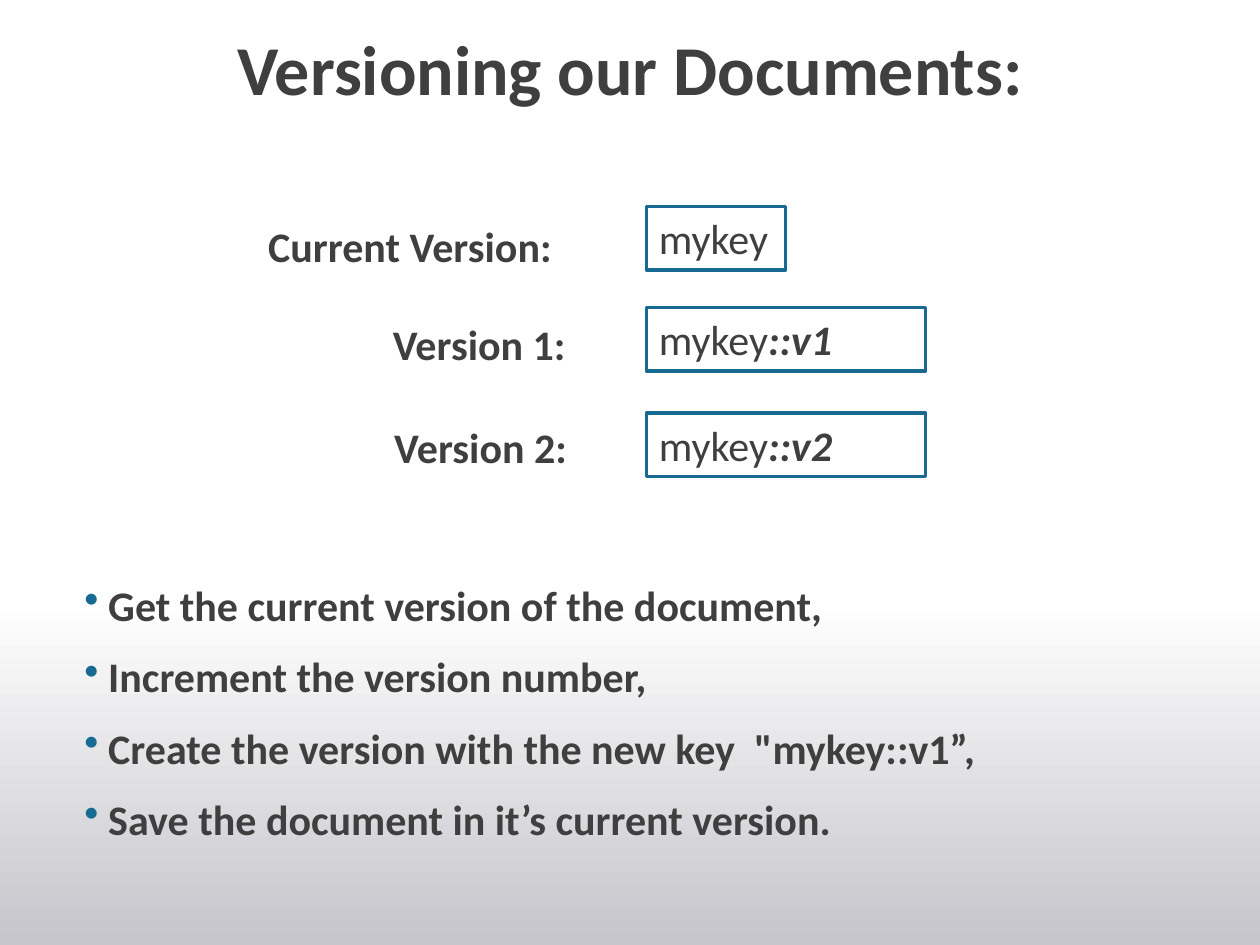
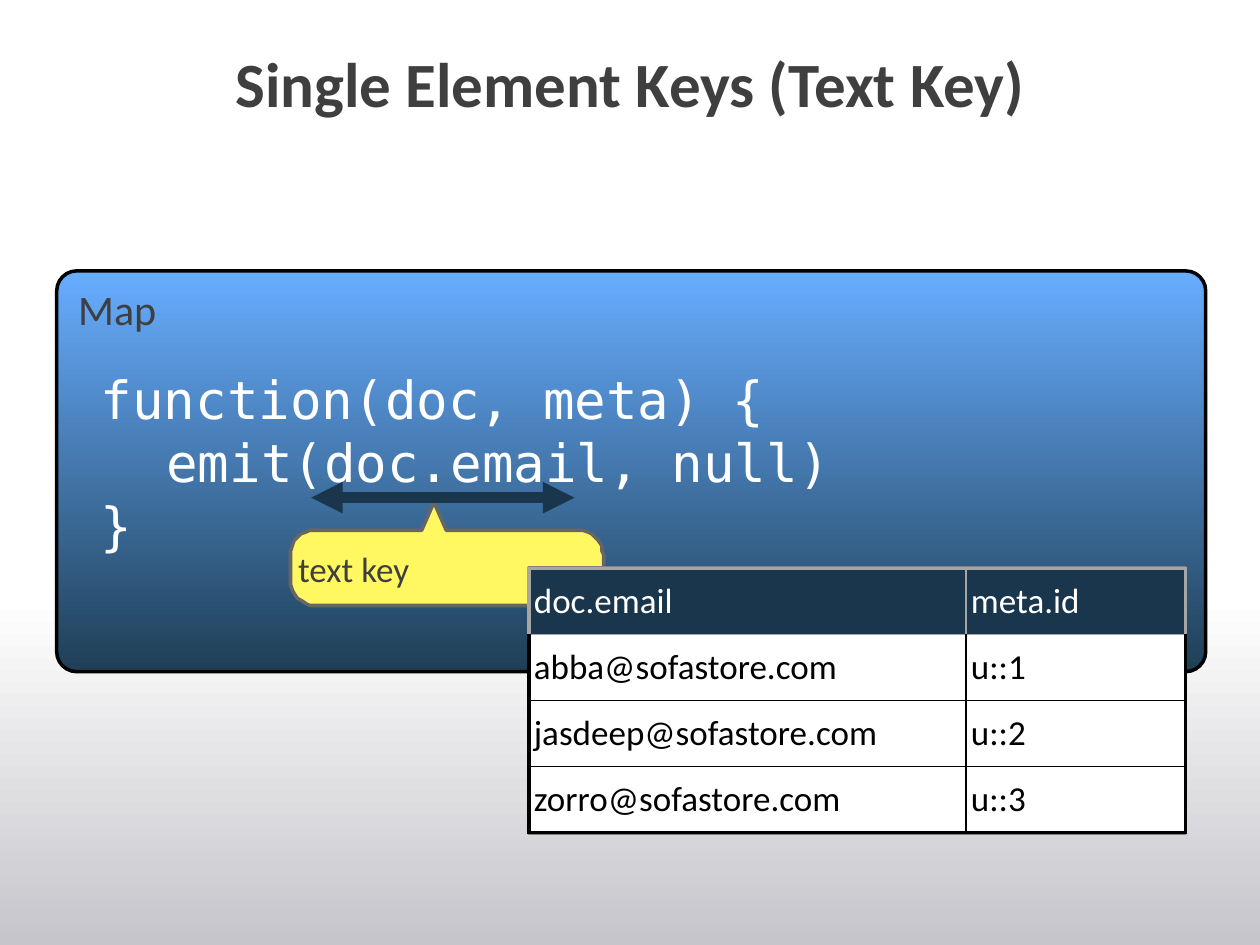
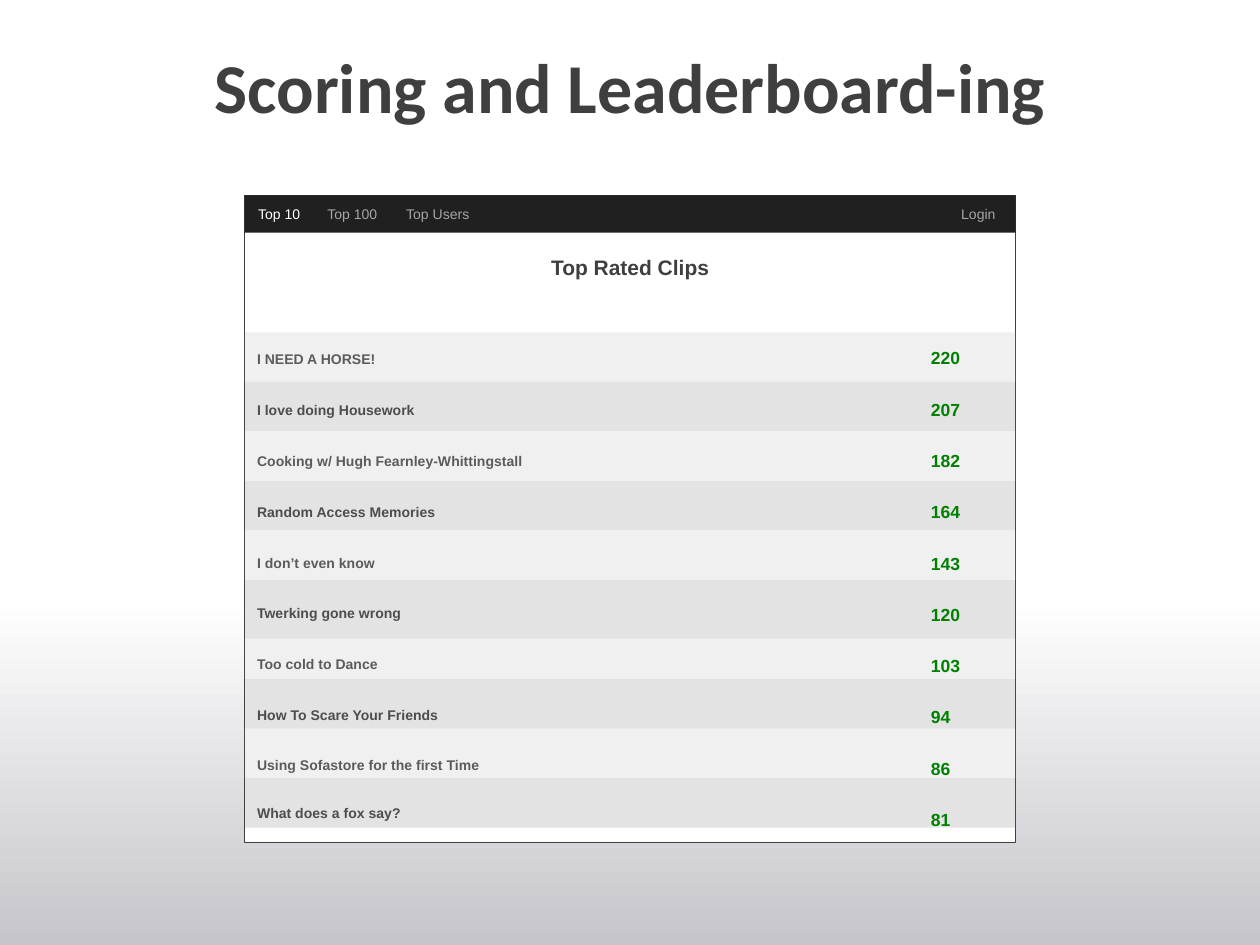
from dataclasses import dataclass, replace
from math import cos, pi, sin

from lxml.etree import SubElement
from pptx import Presentation
from pptx.dml.color import RGBColor
from pptx.enum.shapes import MSO_CONNECTOR as Connector, MSO_SHAPE as Preset
from pptx.enum.text import MSO_ANCHOR as Anchor, PP_ALIGN as Align
from pptx.oxml.ns import qn
from pptx.util import Pt

# Shared look
WIDTH, HEIGHT = 720, 540
WHITE = RGBColor(0xFF, 0xFF, 0xFF)
BLACK = RGBColor(0x00, 0x00, 0x00)
INK = RGBColor(0x3F, 0x3F, 0x3F)
TEAL = RGBColor(0x18, 0x6A, 0x93)
MIST = RGBColor(0xC5, 0xC5, 0xCB)
SKY = RGBColor(0x67, 0xAD, 0xFF)
DEEP_BLUE = RGBColor(0x1F, 0x3F, 0x56)
NAVY = RGBColor(0x1A, 0x36, 0x4C)
YELLOW = RGBColor(0xFF, 0xF8, 0x61)
DIM_GREY = RGBColor(0x66, 0x66, 0x66)
MID_GREY = RGBColor(0x80, 0x80, 0x80)
EDGE_GREY = RGBColor(0xA6, 0xA6, 0xA6)
PALE_GREY = RGBColor(0xBF, 0xBF, 0xBF)
FILL_GREY = RGBColor(0xE6, 0xE6, 0xE6)
NAV_BLACK = RGBColor(0x20, 0x20, 0x20)
GREEN = RGBColor(0x00, 0x80, 0x00)


@dataclass(frozen=True)
class Area:
    left: float
    top: float
    width: float
    height: float

    def points(self) -> tuple:
        return Pt(self.left), Pt(self.top), Pt(self.width), Pt(self.height)


@dataclass(frozen=True)
class Style:
    size: float
    color: RGBColor = INK
    font: str = "Calibri"
    bold: bool = False
    italic: bool = False


@dataclass(frozen=True)
class Version:
    label: str
    label_left: float
    label_top: float
    suffix: str
    key_top: float
    key_width: float


@dataclass(frozen=True)
class Entry:
    title: str
    score: str
    gap: float = 19.5


@dataclass(frozen=True)
class Tab:
    text: str
    left: float
    width: float
    color: RGBColor = EDGE_GREY


LABEL = Style(24, bold=True)
KEY = Style(24)
CODE = Style(30, WHITE, "DejaVu Sans Mono")
CELL = Style(20)
SMALL = Style(8, font="Arial", bold=True)
PADDING = (7.2, 3.6, 7.2, 3.6)
TIGHT = (2.88, 2.88, 5.04, 2.88)

VERSIONS = [
    Version("Current Version:", 146.2, 122.4, "", 118, 79.5),
    Version("Version 1:", 217.4, 178.6, "::v1", 175.7, 159.5),
    Version("Version 2:", 218.2, 237.6, "::v2", 236, 159.5),
]
STEPS = [
    "Get the current version of the document,",
    "Increment the version number,",
    'Create the version with the new key  "mykey::v1”,',
    "Save the document in it’s current version.",
]
CODE_LINES = ["function(doc, meta) {", "emit(doc.email, null)", "}"]
INDEX_ROWS = [
    ("doc.email", "meta.id"),
    ("abba@sofastore.com", "u::1"),
    ("jasdeep@sofastore.com", "u::2"),
    ("zorro@sofastore.com", "u::3"),
]
TABS = [
    Tab("Top 10", 140.4, 39.6, WHITE),
    Tab("Top 100", 180, 45.4),
    Tab("Top Users", 225, 52.6),
    Tab("Login", 542.2, 38.2),
]
ENTRIES = [
    Entry("I NEED A HORSE!", "220", 40.4),
    Entry("I love doing Housework", "207"),
    Entry("Cooking w/ Hugh Fearnley-Whittingstall", "182"),
    Entry("Random Access Memories", "164"),
    Entry("I don’t even know", "143"),
    Entry("Twerking gone wrong", "120"),
    Entry("Too cold to Dance", "103"),
    Entry("How To Scare Your Friends", "94"),
    Entry("Using Sofastore for the first Time", "86", 18.8),
    Entry("What does a fox say?", "81", 17.7),
]


# Drawing helpers
def format_span(span, style: Style) -> None:
    font = span.font
    font.name, font.size = style.font, Pt(style.size)
    font.bold, font.italic = style.bold, style.italic
    font.color.rgb = style.color


def write(frame, lines: list[str], style: Style, padding: tuple = PADDING,
          anchor=Anchor.TOP, wrap: bool = True, align=Align.LEFT) -> None:
    frame.word_wrap = wrap
    frame.vertical_anchor = anchor
    (frame.margin_left, frame.margin_top,
     frame.margin_right, frame.margin_bottom) = map(Pt, padding)
    frame.text = "\n".join(lines)
    for para in frame.paragraphs:
        para.alignment = align
        for span in para.runs:
            format_span(span, style)


def add_text(page, area: Area, lines: list[str], style: Style, **layout):
    box = page.shapes.add_textbox(*area.points())
    write(box.text_frame, lines, style, **layout)
    return box.text_frame


def paint(shape, fill: RGBColor, line: RGBColor | None = None,
          weight: float = 2) -> None:
    shape.shadow.inherit = False
    shape.fill.solid()
    shape.fill.fore_color.rgb = fill
    outline(shape, line, weight)


def outline(shape, line: RGBColor | None, weight: float = 2) -> None:
    if line is None:
        shape.line.fill.background()
    else:
        shape.line.color.rgb = line
        shape.line.width = Pt(weight)


def add_rect(page, area: Area, fill: RGBColor, line: RGBColor | None = None,
             weight: float = 2):
    rect = page.shapes.add_shape(Preset.RECTANGLE, *area.points())
    paint(rect, fill, line, weight)
    return rect


def add_gradient(page, preset, area: Area, start: RGBColor, end: RGBColor,
                 angle: float):
    shape = page.shapes.add_shape(preset, *area.points())
    shape.shadow.inherit = False
    shape.fill.gradient()
    shape.fill.gradient_angle = angle
    for stop, color in zip(shape.fill.gradient_stops, (start, end)):
        stop.color.rgb = color
    outline(shape, None)
    return shape


def set_alpha(shape, percent: int) -> None:
    color = shape.fill._xPr.find(qn("a:solidFill"))[0]
    SubElement(color, qn("a:alpha"), val=str(percent * 1000))


def add_bullet(para, indent: float, color: RGBColor) -> None:
    props = para._p.get_or_add_pPr()
    props.set("marL", str(Pt(indent)))
    props.set("indent", str(-Pt(indent)))
    bullet_color = SubElement(props, qn("a:buClr"))
    SubElement(bullet_color, qn("a:srgbClr"), val=str(color))
    SubElement(props, qn("a:buChar"), char="•")


def set_border(cell, side: str, color: RGBColor, weight: float) -> None:
    border = SubElement(cell._tc.get_or_add_tcPr(), qn(f"a:ln{side}"),
                        w=str(Pt(weight)))
    fill = SubElement(border, qn("a:solidFill"))
    SubElement(fill, qn("a:srgbClr"), val=str(color))


def add_double_arrow(page, left: float, right: float, y: float,
                     color: RGBColor, weight: float) -> None:
    arrow = page.shapes.add_connector(
        Connector.STRAIGHT, Pt(left), Pt(y), Pt(right), Pt(y))
    outline(arrow, color, weight)
    line = arrow.line._get_or_add_ln()
    for end in ("a:headEnd", "a:tailEnd"):
        SubElement(line, qn(end), type="triangle")
    SubElement(arrow._element.spPr, qn("a:effectLst"))


def add_callout(page, body: Area, tip: tuple[float, float], base: tuple[float, float],
                radius: float):
    """Rounded body with a pointer rising from its top edge to the tip."""
    right, bottom = body.left + body.width, body.top + body.height
    centres = [
        (body.left + radius, body.top + radius, pi * 1.5),
        (body.left + radius, bottom - radius, pi),
        (right - radius, bottom - radius, pi / 2),
        (right - radius, body.top + radius, 0),
    ]
    steps = 8
    corners = [
        (x + radius * cos(start - pi / 2 * step / steps),
         y + radius * sin(start - pi / 2 * step / steps))
        for x, y, start in centres for step in range(steps + 1)
    ]
    points = [(base[0], body.top), *corners, (base[1], body.top)]
    builder = page.shapes.build_freeform(*tip, scale=Pt(1))
    builder.add_line_segments(points, close=True)
    return builder.convert_to_shape()


def add_page(deck, title: str, top: float, size: float):
    """Blank page with the fading band at the foot and the title."""
    page = deck.slides.add_slide(deck.slide_layouts[6])
    add_gradient(page, Preset.RECTANGLE, Area(0, 342, WIDTH, 198), MIST, WHITE, 90)
    frame = add_text(page, Area(36, top, 648, 81), [title], Style(size, bold=True),
                     padding=(0, 0, 0, 0), align=Align.CENTER)
    frame.paragraphs[0].line_spacing = 0.9
    return page


# Slides
def build_versioning(deck) -> None:
    page = add_page(deck, "Versioning our Documents:", 20.2, 40)
    steps = add_text(page, Area(48.2, 331.2, 635.8, 161.3), STEPS, LABEL,
                     padding=(0, 0, 0, 0))
    for para in steps.paragraphs:
        para.space_before = Pt(12)
        add_bullet(para, 13.7, TEAL)

    for version in VERSIONS:
        width = 180 if version.suffix == "" else 116
        add_text(page, Area(version.label_left, version.label_top, width, 36),
                 [version.label], LABEL, wrap=False)
        key = add_rect(page, Area(369.4, version.key_top, version.key_width, 36.3),
                       WHITE, TEAL)
        write(key.text_frame, ["mykey"], KEY, wrap=bool(version.suffix))
        if version.suffix:
            span = key.text_frame.paragraphs[0].add_run()
            span.text = version.suffix
            format_span(span, replace(KEY, bold=True, italic=True))


def build_index_table(page, area: Area) -> None:
    row_count, column_count = len(INDEX_ROWS), len(INDEX_ROWS[0])
    table = page.shapes.add_table(row_count, column_count, *area.points()).table
    for column, width in zip(table.columns, (249.8, 125.3)):
        column.width = Pt(width)
    for r, row in enumerate(INDEX_ROWS):
        table.rows[r].height = Pt(area.height / row_count)
        for c, text in enumerate(row):
            cell = table.cell(r, c)
            header = r == 0
            write(cell.text_frame, [text], replace(CELL, color=WHITE if header else BLACK))
            cell.vertical_anchor = Anchor.MIDDLE
            cell.margin_left = cell.margin_right = Pt(2.88)
            cell.margin_top = cell.margin_bottom = Pt(2.88)
            outer = {"L": c == 0, "R": c == column_count - 1,
                     "T": header, "B": r == row_count - 1}
            for side, is_outer in outer.items():
                grey = header or (side == "T" and r == 1)
                set_border(cell, side, EDGE_GREY if grey else BLACK,
                           2.25 if is_outer else 1)
            cell.fill.solid()
            cell.fill.fore_color.rgb = NAVY if header else WHITE


def build_text_key(deck) -> None:
    page = add_page(deck, "Single Element Keys (Text Key)", 30.2, 36)

    # Map function
    panel = add_gradient(page, Preset.ROUNDED_RECTANGLE,
                         Area(32.4, 154.8, 656.6, 229), SKY, DEEP_BLUE, 270)
    panel.adjustments[0] = 0.05
    outline(panel, BLACK)
    code = add_text(page, Area(54.7, 206.6, 622.8, 104.4), CODE_LINES, CODE,
                    padding=TIGHT)
    code.paragraphs[1]._p.get_or_add_pPr().set("marL", str(Pt(37.4)))

    # Marked key
    callout = add_callout(page, Area(165.8, 303.1, 178.8, 42.7), (247.7, 286.6),
                          (241.2, 254.9), 14.2)
    paint(callout, YELLOW, DIM_GREY)
    write(callout.text_frame, ["text key"], CELL, padding=(4.3, 20.8, 7.2, 4.3),
          anchor=Anchor.MIDDLE)
    add_double_arrow(page, 177.8, 328.3, 284.4, NAVY, 6)
    add_text(page, Area(41.8, 159.1, 53.3, 34.6), ["Map"], KEY, padding=TIGHT,
             wrap=False)

    # Resulting index
    area = Area(302.2, 324.7, 375.1, 151.2)
    add_rect(page, area, FILL_GREY, MID_GREY)
    build_index_table(page, area)


def build_leaderboard(deck) -> None:
    page = add_page(deck, "Scoring and Leaderboard-ing", 30.2, 40)
    left, width = 139.8, 440.6

    # Window with the ranked titles
    window = add_rect(page, Area(left, 111.6, width, 370), WHITE, INK, 0.75)
    write(window.text_frame,
          ["Top Rated Clips", *(entry.title for entry in ENTRIES)],
          SMALL, padding=(7.2, 33.9, 7.2, 3.6))
    heading, *titles = window.text_frame.paragraphs
    heading.alignment = Align.CENTER
    format_span(heading.runs[0], replace(SMALL, size=12))
    for para, entry in zip(titles, ENTRIES):
        para.space_before = Pt(entry.gap)

    # Translucent stripes; the sixth is taller at the cost of the seventh
    edges = [190 + 28.3 * i for i in range(len(ENTRIES) + 1)]
    edges[6] += 5.2
    for i, (top, bottom) in enumerate(zip(edges, edges[1:])):
        stripe = add_rect(page, Area(left, top, width, bottom - top),
                          MID_GREY if i % 2 else PALE_GREY)
        set_alpha(stripe, 22)

    # Navigation bar
    add_rect(page, Area(left, 111.6, width, 21.4), NAV_BLACK)
    for tab in TABS:
        add_text(page, Area(tab.left, 113.8, tab.width, 17), [tab.text],
                 Style(8, tab.color, "Arial"), wrap=False)

    # Scores
    scores = add_text(page, Area(524.9, 195, 34.6, 283),
                      [entry.score for entry in ENTRIES],
                      Style(10, GREEN, "Arial", bold=True))
    for para in scores.paragraphs[1:]:
        para.space_before = Pt(17.3)


def main() -> None:
    deck = Presentation()
    deck.slide_width, deck.slide_height = Pt(WIDTH), Pt(HEIGHT)
    build_versioning(deck)
    build_text_key(deck)
    build_leaderboard(deck)
    deck.save("out.pptx")


if __name__ == "__main__":
    main()
